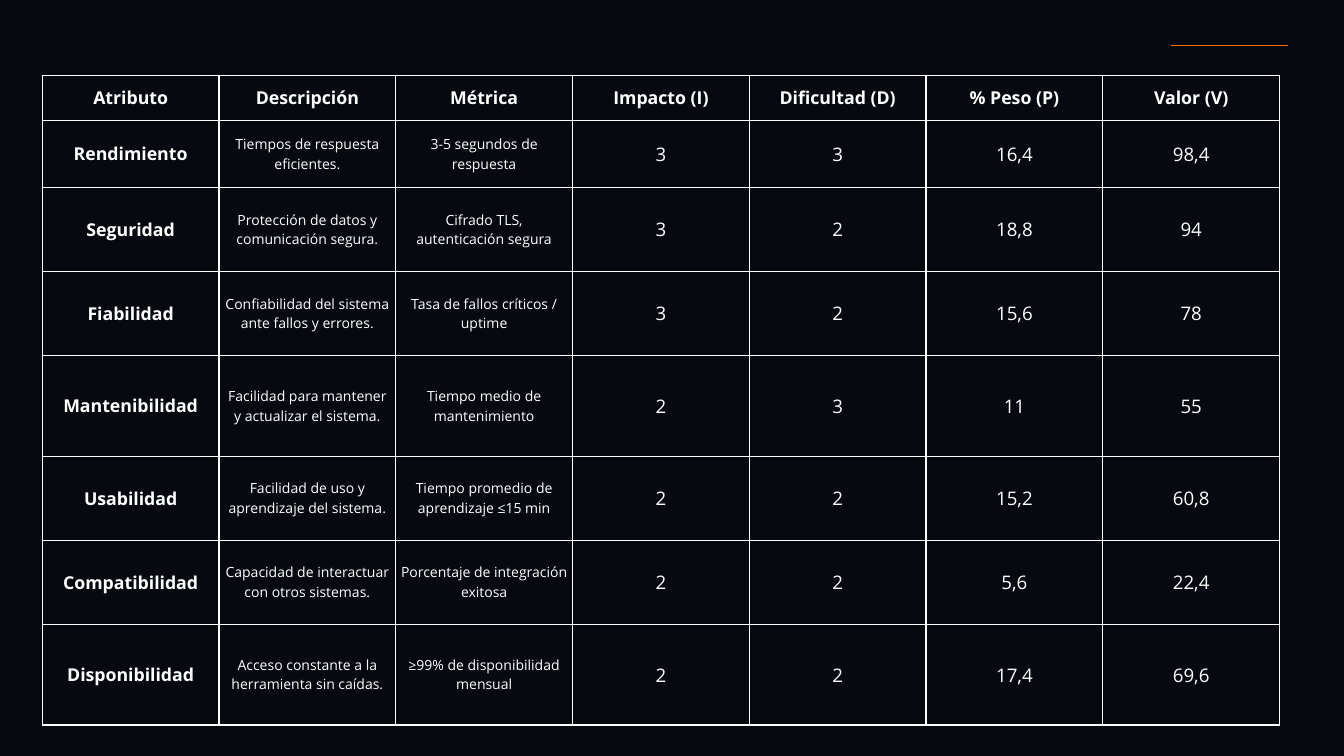
from lxml.etree import SubElement
from pptx import Presentation
from pptx.dml.color import RGBColor
from pptx.enum.shapes import MSO_CONNECTOR
from pptx.enum.text import MSO_ANCHOR, PP_ALIGN
from pptx.oxml.ns import qn
from pptx.util import Pt

NIGHT = RGBColor(0x06, 0x09, 0x0F)
WHITE = RGBColor(0xFF, 0xFF, 0xFF)
ORANGE = RGBColor(0xF2, 0x71, 0x00)

HEADER = ["Atributo", "Descripción", "Métrica", "Impacto (I)",
          "Dificultad (D)", "% Peso (P)", "Valor (V)"]
ATTRIBUTES = [
    ["Rendimiento", "Tiempos de respuesta eficientes.",
     "3-5 segundos de respuesta", "3", "3", "16,4", "98,4"],
    ["Seguridad", "Protección de datos y comunicación segura.",
     "Cifrado TLS, autenticación segura", "3", "2", "18,8", "94"],
    ["Fiabilidad", "Confiabilidad del sistema ante fallos y errores.",
     "Tasa de fallos críticos / uptime", "3", "2", "15,6", "78"],
    ["Mantenibilidad", "Facilidad para mantener y actualizar el sistema.",
     "Tiempo medio de mantenimiento", "2", "3", "11", "55"],
    ["Usabilidad", "Facilidad de uso y aprendizaje del sistema.",
     "Tiempo promedio de aprendizaje ≤15 min", "2", "2", "15,2", "60,8"],
    ["Compatibilidad", "Capacidad de interactuar con otros sistemas.",
     "Porcentaje de integración exitosa", "2", "2", "5,6", "22,4"],
    ["Disponibilidad", "Acceso constante a la herramienta sin caídas.",
     "≥99% de disponibilidad mensual", "2", "2", "17,4", "69,6"],
]
ROW_HEIGHTS = [48, 72, 90, 90, 108, 90, 90, 108]
COLUMN_WIDTH = 189.4


class Deck:
    font = "Open Sans"
    line_width = 1.5
    inset = 5
    leading = 1.4
    heading_size = 19
    column_sizes = [19, 15, 15, 20, 20, 20, 20]

    def __init__(self, prs):
        self.s = prs.slides.add_slide(prs.slide_layouts[6])
        fill = self.s.background.fill
        fill.solid()
        fill.fore_color.rgb = NIGHT

    def line(self, x1, y1, x2, y2, color):
        sp = self.s.shapes.add_connector(
            MSO_CONNECTOR.STRAIGHT, Pt(x1), Pt(y1), Pt(x2), Pt(y2))
        sp.line.color.rgb = color
        sp.line.width = Pt(self.line_width)
        SubElement(sp.element.spPr, qn("a:effectLst"))

    def borders(self, cell, color):
        tc_pr = cell._tc.get_or_add_tcPr()
        for side in ("lnL", "lnR", "lnT", "lnB"):
            ln = SubElement(tc_pr, qn(f"a:{side}"), w=str(Pt(self.line_width)))
            solid = SubElement(ln, qn("a:solidFill"))
            SubElement(solid, qn("a:srgbClr"), val=str(color))

    def cell(self, cell, text, size, bold):
        self.borders(cell, WHITE)
        cell.fill.background()
        cell.vertical_anchor = MSO_ANCHOR.MIDDLE
        cell.margin_left = cell.margin_right = Pt(self.inset)
        cell.margin_top = cell.margin_bottom = Pt(self.inset)
        p = cell.text_frame.paragraphs[0]
        p.text = text
        p.alignment = PP_ALIGN.CENTER
        p.line_spacing = Pt(size * self.leading)
        r = p.runs[0]
        r.font.name = self.font
        r.font.size = Pt(size)
        r.font.bold = bold
        r.font.color.rgb = WHITE

    def table(self, x, y, column_width, row_heights, rows):
        columns = len(rows[0])
        table = self.s.shapes.add_table(
            len(rows), columns, Pt(x), Pt(y),
            Pt(column_width * columns), Pt(sum(row_heights))).table
        table.first_row = table.horz_banding = False
        for column in table.columns:
            column.width = Pt(column_width)
        for i, (height, texts) in enumerate(zip(row_heights, rows)):
            table.rows[i].height = Pt(height)
            for j, text in enumerate(texts):
                size = self.column_sizes[j] if i else self.heading_size
                self.cell(table.cell(i, j), text, size, i == 0 or j == 0)


def main():
    prs = Presentation()
    prs.slide_width, prs.slide_height = Pt(1440), Pt(810)
    deck = Deck(prs)
    deck.line(1255, 48.7, 1380, 48.7, ORANGE)
    deck.table(45.3, 80.7, COLUMN_WIDTH, ROW_HEIGHTS, [HEADER] + ATTRIBUTES)
    prs.save("out.pptx")


if __name__ == "__main__":
    main()
